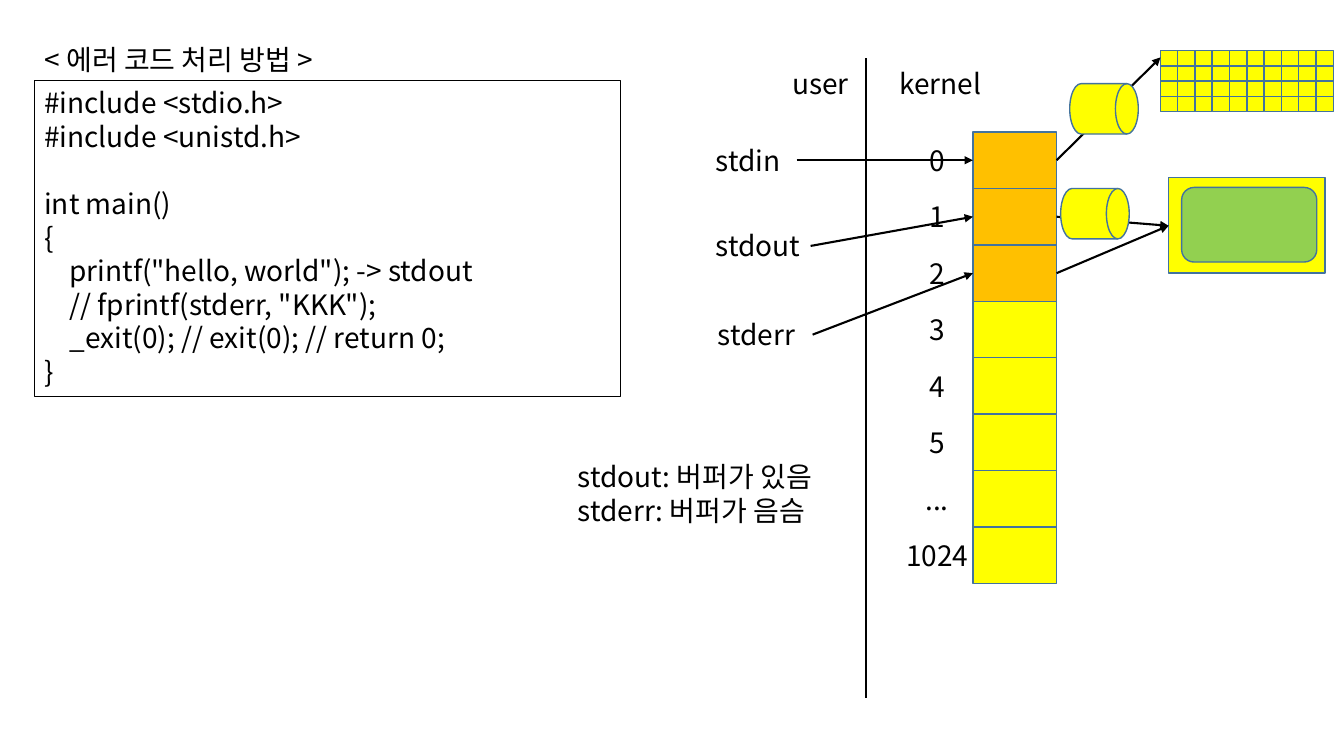
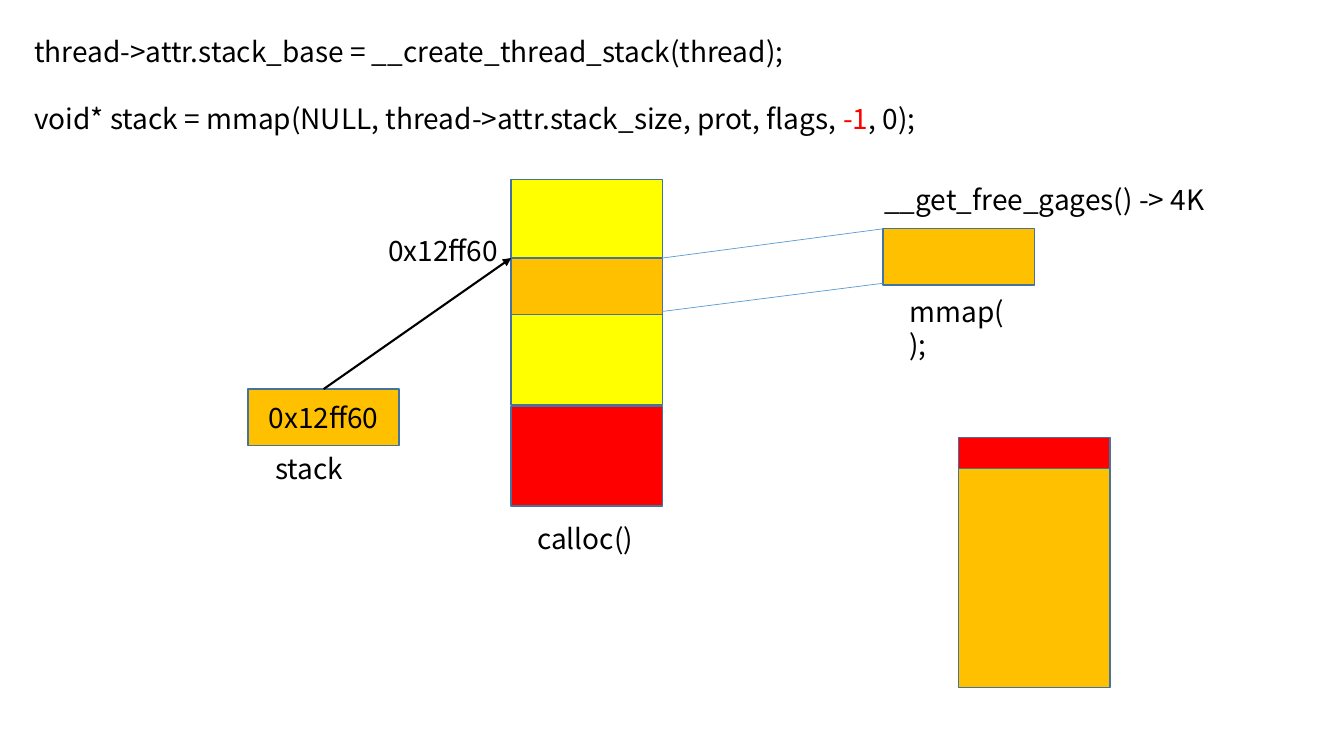
from lxml import etree
from pptx import Presentation
from pptx.dml.color import RGBColor
from pptx.enum.shapes import MSO_CONNECTOR, MSO_SHAPE as SHAPE
from pptx.enum.text import MSO_ANCHOR as ANCHOR, MSO_AUTO_SIZE, PP_ALIGN as ALIGN
from pptx.oxml.ns import qn
from pptx.util import Inches, Pt

# Shared style
FONT, SIZE, PITCH = "Noto Sans CJK KR", 20, 24
BLACK, RED, ORANGE, YELLOW = "000000", "FF0000", "FFC000", "FFFF00"
GREEN, EDGE, BLUE = "92D050", "43739E", "5B9BD5"
LINE_H = 0.44
rgb = RGBColor.from_string

prs = Presentation()
prs.slide_width, prs.slide_height = Inches(13.33), Inches(7.5)


def box(sh, kind, x, y, w, h, text="", fill=None, line=EDGE, width=1, mid=False):
    """Place a shape, "text" box or "title"; | marks red text, a blank line a gap."""
    at = [Inches(v) for v in (x, y, w, h)]
    if kind == "title":
        sp = sh.title
        sp.left, sp.top, sp.width, sp.height = at
    elif kind == "text":
        sp = sh.add_textbox(*at)
    else:
        sp = sh.add_shape(kind, *at)
        sp.shadow.inherit = False
        sp.line.color.rgb = rgb(line)
        sp.line.width = Pt(width)
        if fill:
            sp.fill.solid()
            sp.fill.fore_color.rgb = rgb(fill)
        else:
            sp.fill.background()
    if not text:
        return
    tf = sp.text_frame
    tf.word_wrap, tf.auto_size = True, MSO_AUTO_SIZE.NONE
    tf.vertical_anchor = ANCHOR.MIDDLE if mid else ANCHOR.TOP
    p, gap = None, 0
    for row in text.split("\n"):
        if not row:
            gap += PITCH
            continue
        p = tf.add_paragraph() if p else tf.paragraphs[0]
        p.alignment = ALIGN.CENTER if mid else ALIGN.LEFT
        p.line_spacing, p.space_before, gap = Pt(PITCH), Pt(gap), 0
        if row.startswith(" "):
            p._p.get_or_add_pPr().set("marL", str(Inches(0.25)))
        f = p.font
        f.size, f.name, f.color.rgb = Pt(SIZE), FONT, rgb(BLACK)
        etree.SubElement(f._element, qn("a:ea"), typeface=FONT)
        for i, part in enumerate(row.lstrip().split("|")):
            r = p.add_run()
            r.text = part
            if i % 2:
                r.font.color.rgb = rgb(RED)


def connect(sh, x1, y1, x2, y2, color=BLACK, width=1.5, arrow=True):
    c = sh.add_connector(MSO_CONNECTOR.STRAIGHT, *[Inches(v) for v in (x1, y1, x2, y2)])
    c.line.color.rgb, c.line.width = rgb(color), Pt(width)
    if arrow:
        etree.SubElement(c.line._get_or_add_ln(), qn("a:tailEnd"), type="triangle")
    etree.SubElement(c._element.spPr, qn("a:effectLst"))


# Slide 1: standard streams and the descriptor table
s = prs.slides.add_slide(prs.slide_layouts[5])
sh = s.shapes
box(sh, "title", 0.34, 0.37, 3.43, LINE_H, "< 에러 코드 처리 방법 >")
code = """#include <stdio.h>
#include <unistd.h>

int main()
{
    printf("hello, world"); -> stdout
    // fprintf(stderr, "KKK");
    _exit(0); // exit(0); // return 0;
}"""
box(sh, SHAPE.RECTANGLE, 0.34, 0.8, 5.81, 3.13, code, line=BLACK, width=0.75)

# User and kernel sides
connect(sh, 8.59, 0.58, 8.59, 6.92, arrow=False)
box(sh, "text", 7.76, 0.61, 0.8, LINE_H, "user")
box(sh, "text", 8.82, 0.61, 1.04, LINE_H, "kernel")

# Descriptor table
FD_X, FD_Y, FD_W, FD_H = 9.65, 1.31, 0.83, 0.56
for i, label in enumerate(["0", "1", "2", "3", "4", "5", "...", "1024"]):
    y = FD_Y + i * FD_H
    box(sh, "text", 8.88, y, FD_W, FD_H, label, mid=True)
    box(sh, SHAPE.RECTANGLE, FD_X, y, FD_W, FD_H, fill=ORANGE if i < 3 else YELLOW)
fd_mid = [FD_Y + (i + 0.5) * FD_H for i in range(3)]

# Keyboard
KEY_X, KEY_Y, KEY_W, KEY_H = 11.51, 0.5, 0.17, 0.15
keys = sh.add_group_shape().shapes
for i in range(40):
    row, col = divmod(i, 10)
    box(keys, SHAPE.RECTANGLE, KEY_X + col * 0.1715, KEY_Y + row * 0.153,
        KEY_W, KEY_H, fill=YELLOW)

# Monitor
monitor = sh.add_group_shape().shapes
box(monitor, SHAPE.RECTANGLE, 11.59, 1.76, 1.55, 0.95, fill=YELLOW)
box(monitor, SHAPE.ROUNDED_RECTANGLE, 11.72, 1.86, 1.34, 0.74, fill=GREEN)

# Descriptors to devices, with the buffers on the way
for y, x2, y2 in zip(fd_mid, (KEY_X, 11.59, 11.59), (0.57, 2.24, 2.24)):
    connect(sh, FD_X + FD_W, y, x2, y2)
for x, y in ((10.61, 0.83), (10.52, 1.87)):
    box(sh, SHAPE.FLOWCHART_DIRECT_ACCESS_STORAGE, x, y, 0.68, 0.5, fill=YELLOW)

# Streams to descriptors
streams = [("stdin", 7, 1.37, 0.9), ("stdout", 7, 2.22, 1.04), ("stderr", 7.02, 3.1, 1.04)]
for (name, x, y, w), y2 in zip(streams, fd_mid):
    box(sh, "text", x, y, w, LINE_H, name)
    connect(sh, x + w, y + LINE_H / 2, FD_X, y2)
box(sh, "text", 5.63, 4.51, 2.87, 0.77, "stdout: 버퍼가 있음\nstderr: 버퍼가 음슴")

# Slide 2: thread stack mapping
s = prs.slides.add_slide(prs.slide_layouts[6])
sh = s.shapes
box(sh, "text", 0.24, 0.29, 10.02, 1.11,
    "thread->attr.stack_base = __create_thread_stack(thread);\n\n"
    "void* stack = mmap(NULL, thread->attr.stack_size, prot, flags, |-1|, 0);")

# Memory blocks, all of one width
BLOCK_W, PAGE_H = 1.5, 0.56
blocks = [
    (8.76, 2.27, PAGE_H, ORANGE, ""),
    (5.07, 1.78, 2.24, YELLOW, ""),
    (5.07, 4.03, 0.99, RED, ""),
    (5.07, 2.56, PAGE_H, ORANGE, ""),
    (2.46, 3.86, PAGE_H, ORANGE, "0x12ff60"),
    (9.51, 4.65, 2.17, ORANGE, ""),
    (9.51, 4.34, 0.31, RED, ""),
]
for x, y, h, fill, text in blocks:
    box(sh, SHAPE.RECTANGLE, x, y, BLOCK_W, h, text, fill=fill, mid=True)

# Pointer and mapping lines
connect(sh, 2.46 + BLOCK_W / 2, 3.86, 5.07, 2.56)
for y1, y2 in ((2.56, 2.27), (3.09, 2.81)):
    connect(sh, 5.07 + BLOCK_W, y1, 8.76, y2, BLUE, 0.5, arrow=False)

# Labels
labels = [
    (3.75, 2.27, 1.32, "0x12ff60"),
    (2.63, 4.43, 0.9, "stack"),
    (8.67, 1.76, 3.57, "__get_free_gages() -> 4K"),
    (8.92, 2.87, 1.18, "mmap();"),
    (5.23, 5.12, 1.32, "calloc()"),
]
for x, y, w, text in labels:
    box(sh, "text", x, y, w, LINE_H, text)

prs.save("out.pptx")
